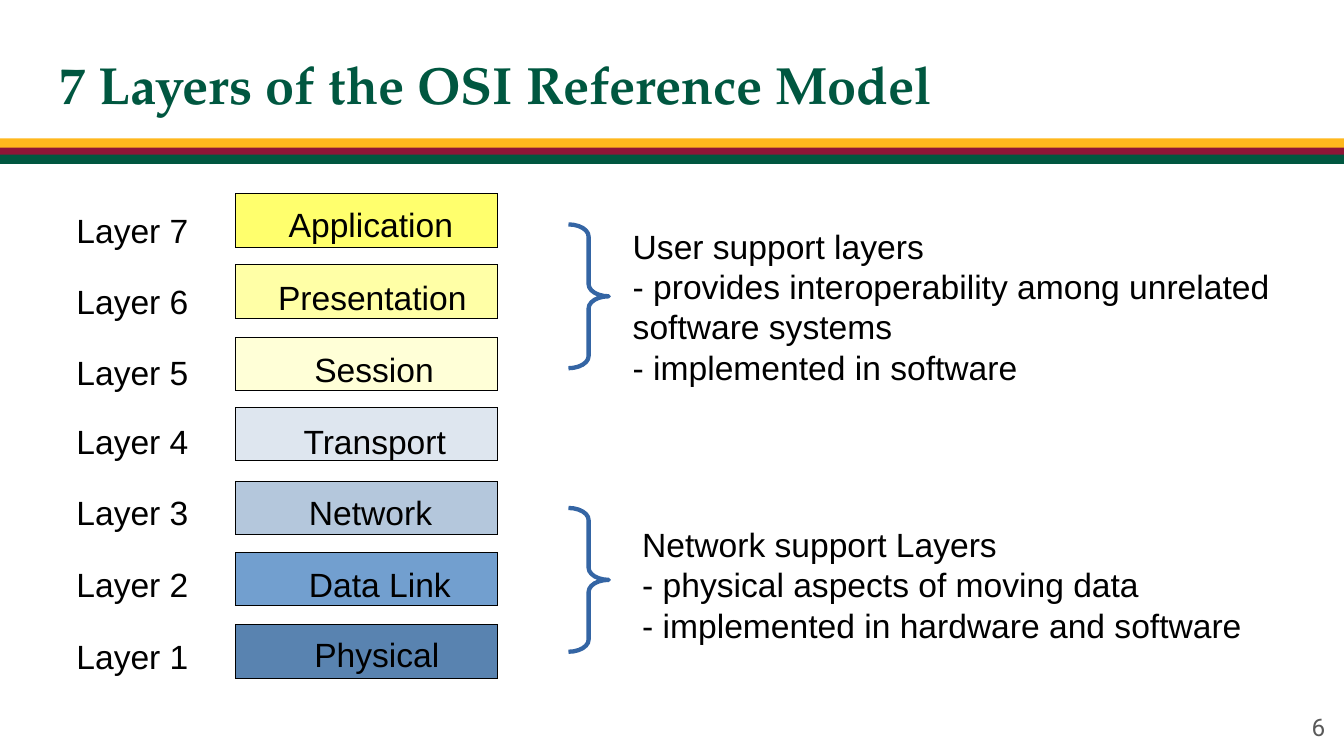
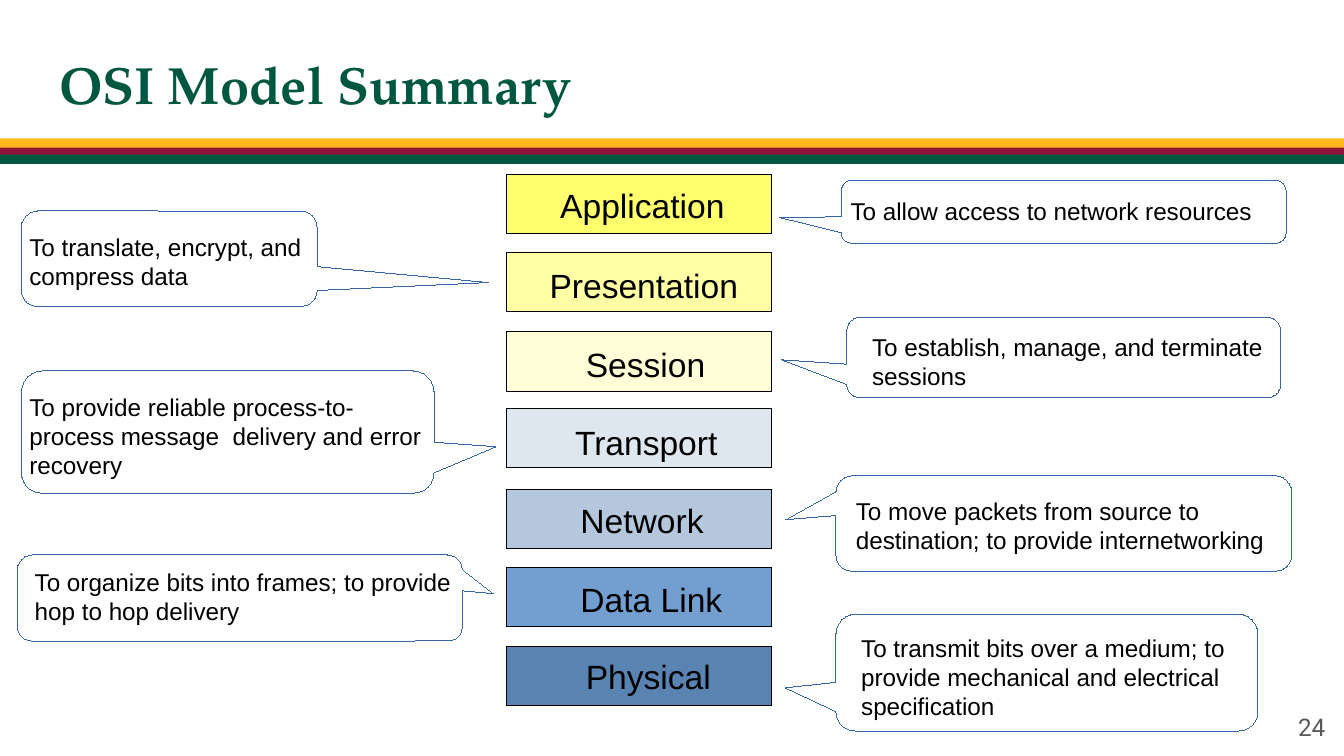
from pptx import Presentation
from pptx import util as u
from pptx.dml.color import RGBColor
from pptx.enum import shapes, text

GREEN, MAROON, GOLD = "005740", "8E1537", "FFB81D"
BLUE, BLACK, GREY = "3465A4", "000000", "595959"
TITLE_FONT, BODY_FONT, NUMBER_FONT = "TeX Gyre Pagella", "Arial", "Roboto"
HAIRLINE = 0.01

# name, fill, and the offset of the name from the corner of its bar
LAYERS = [
    ("Application", "FFFF6D", 0.30, 0.03),
    ("Presentation", "FFFFA6", 0.22, 0.04),
    ("Session", "FFFFD7", 0.49, 0.04),
    ("Transport", "DEE6EF", 0.41, 0.05),
    ("Network", "B4C7DC", 0.45, 0.03),
    ("Data Link", "729FCF", 0.45, 0.04),
    ("Physical", "5983B0", 0.49, 0.02),
]
MODEL_TOPS = (1.44, 1.97, 2.51, 3.03, 3.58, 4.11, 4.65)
SUMMARY_TOPS = (1.30, 1.88, 2.47, 3.04, 3.64, 4.22, 4.81)
NUMBER_TOPS = (1.51, 2.04, 2.57, 3.08, 3.61, 4.15, 4.68)

# wording, text place (left, top, width, height), balloon place, pointer tip
PURPOSES = [
    ("To translate, encrypt, and compress data",
     (0.12, 1.68, 2.96, 0.50), (0.16, 1.57, 2.20, 0.71), (1.08, 0.25)),
    ("To allow access to network resources",
     (6.23, 1.41, 3.45, 0.30), (6.26, 1.34, 3.31, 0.47), (-0.64, 0.09)),
    ("To provide reliable process-to-process message  delivery and error recovery",
     (0.12, 2.87, 3.19, 0.70), (0.16, 2.76, 3.07, 0.91), (0.65, 0.12)),
    ("To establish, manage, and terminate sessions",
     (6.39, 2.42, 3.14, 0.50), (6.30, 2.36, 3.23, 0.60), (-0.65, 0.03)),
    ("To organize bits into frames; to provide hop to hop delivery",
     (0.16, 4.17, 3.31, 0.50), (0.13, 4.13, 3.31, 0.64), (0.57, -0.05)),
    ("To move packets from source to destination; to provide internetworking",
     (6.27, 3.64, 3.33, 0.54), (6.22, 3.54, 3.39, 0.71), (-0.61, -0.04)),
    ("To transmit bits over a medium; to provide mechanical and electrical specification",
     (6.31, 4.66, 2.94, 0.70), (6.22, 4.57, 3.14, 0.87), (-0.62, 0.13)),
]


def color(hex_value):
    return RGBColor.from_string(hex_value)


def write(frame, content, size=18, font=BODY_FONT, fill=BLACK, bold=False,
          align=text.PP_ALIGN.LEFT, anchor=text.MSO_ANCHOR.TOP, inset=0.05,
          fit=text.MSO_AUTO_SIZE.NONE):
    """Fill a text frame, one paragraph per line of content."""
    frame.word_wrap = True
    frame.auto_size = fit
    frame.vertical_anchor = anchor
    frame.margin_left = frame.margin_right = u.Inches(0.1)
    frame.margin_top = frame.margin_bottom = u.Inches(inset)
    for index, line in enumerate(content.split("\n")):
        para = frame.add_paragraph() if index else frame.paragraphs[0]
        para.alignment = align
        span = para.add_run()
        span.text = line
        span.font.size = u.Pt(size)
        span.font.name = font
        span.font.bold = bold
        span.font.color.rgb = color(fill)


class SlideBuilder:
    """Holds the deck, its shared style and the slide being drawn."""

    def __init__(self):
        self.deck = Presentation()
        self.deck.slide_width = u.Inches(10)
        self.deck.slide_height = u.Inches(10 * 9 / 16)
        self.page = None

    def start(self, title, number):
        """Add a slide with its title, stripes and page number."""
        self.page = self.deck.slides.add_slide(self.deck.slide_layouts[5])
        for index, fill in ((1, MAROON), (2, GREEN), (0, GOLD)):
            self.shape("RECTANGLE", 0, 1.03 + 0.06 * index, 10, 0.07, fill=fill)
        box = self.page.shapes.title
        box.left, box.top = u.Inches(0.34), u.Inches(0.25)
        box.width, box.height = u.Inches(7.87), u.Inches(0.74)
        write(box.text_frame, title, size=28, font=TITLE_FONT, fill=GREEN,
              bold=True, anchor=text.MSO_ANCHOR.MIDDLE, inset=0.1,
              fit=text.MSO_AUTO_SIZE.TEXT_TO_FIT_SHAPE)
        self.label(number, 9.36, 5.19, 0.6, 0.43, size=13, font=NUMBER_FONT,
                   fill=GREY, align=text.PP_ALIGN.RIGHT,
                   anchor=text.MSO_ANCHOR.MIDDLE, inset=0.1)

    def shape(self, kind, left, top, width, height, fill=None, line=None,
              weight=HAIRLINE, adjust=()):
        box = self.page.shapes.add_shape(
            getattr(shapes.MSO_SHAPE, kind),
            *map(u.Inches, (left, top, width, height)))
        box.shadow.inherit = False
        if fill:
            box.fill.solid()
            box.fill.fore_color.rgb = color(fill)
        else:
            box.fill.background()
        if line:
            box.line.color.rgb = color(line)
            box.line.width = u.Pt(weight)
        else:
            box.line.fill.background()
        for index, value in enumerate(adjust):
            box.adjustments[index] = value

    def label(self, content, left, top, width, height=0.39, **style):
        box = self.page.shapes.add_textbox(
            *map(u.Inches, (left, top, width, height)))
        write(box.text_frame, content, **style)

    def layer_stack(self, left, tops, width, height):
        for top, (name, fill, across, down) in zip(tops, LAYERS):
            self.shape("RECTANGLE", left, top, width, height, fill=fill, line=BLACK)
            self.label(name, left + across, top + down, 1.75)

    def brace(self, top):
        self.shape("RIGHT_BRACE", 4.23, top, 0.3, 1.07, line=BLUE, weight=2.3,
                   adjust=(0.3, 0.5))

    def callout(self, content, text_place, balloon_place, tip):
        self.label(content, *text_place, size=13)
        self.shape("ROUNDED_RECTANGULAR_CALLOUT", *balloon_place, line=BLUE,
                   adjust=(*tip, 0.17))


def build_layers(builder):
    builder.start("7 Layers of the OSI Reference Model", "6")
    builder.layer_stack(1.75, MODEL_TOPS, 1.95, 0.4)
    for index, top in enumerate(NUMBER_TOPS):
        builder.label(f"Layer {len(LAYERS) - index}", 0.47, top, 1.18)
    builder.label("Network support Layers\n"
                  "- physical aspects of moving data\n"
                  "- implemented in hardware and software", 4.68, 3.85, 5.32, 0.98)
    builder.label("User support layers\n"
                  "- provides interoperability among unrelated software systems\n"
                  "- implemented in software", 4.61, 1.63, 4.96, 1.27)
    for top in (1.67, 3.78):
        builder.brace(top)


def build_summary(builder):
    builder.start("OSI Model Summary", "24")
    builder.layer_stack(3.77, SUMMARY_TOPS, 1.97, 0.44)
    for purpose in PURPOSES:
        builder.callout(*purpose)


def main():
    builder = SlideBuilder()
    build_layers(builder)
    build_summary(builder)
    builder.deck.save("out.pptx")


if __name__ == "__main__":
    main()
